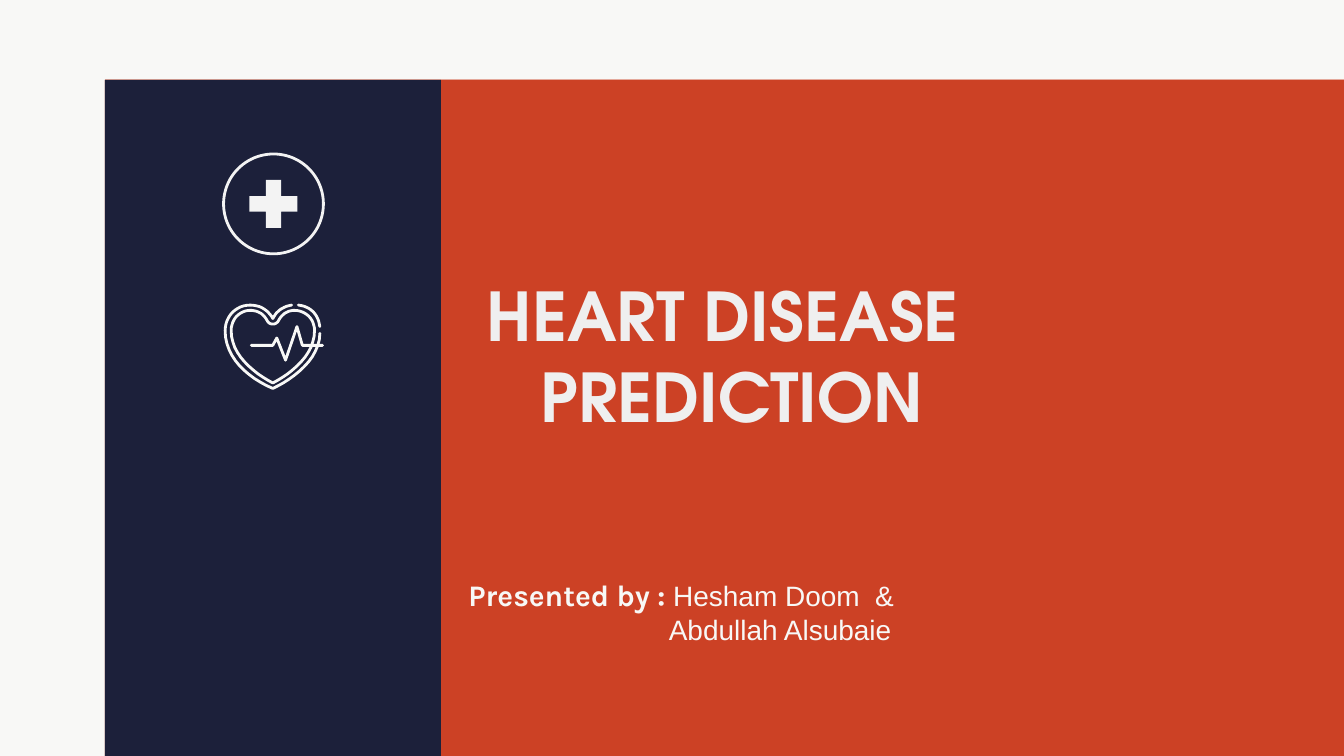
import pptx
import pptx.util
import pptx.dml.color
import pptx.enum.shapes
import pptx.enum.text
from dataclasses import dataclass

Pt = pptx.util.Pt
PRESET = pptx.enum.shapes.MSO_SHAPE
ALIGN = pptx.enum.text.PP_ALIGN
ANCHOR = pptx.enum.text.MSO_ANCHOR


@dataclass(frozen=True)
class Theme:
    red: str = "CC4125"
    navy: str = "1C203A"
    paper: str = "F8F8F6"
    icon: str = "F3F3F3"
    title: str = "EFEFEF"
    title_font: str = "TeX Gyre Adventor"
    label_font: str = "Karla"
    name_font: str = "Arial"
    title_size: float = 36
    label_size: float = 16
    name_size: float = 15
    stroke: float = 1.5


THEME = Theme()
WIDTH, HEIGHT = 720, 405
MARGIN_LEFT, MARGIN_TOP, SIDEBAR = 56.25, 42.75, 180

# Content: each paragraph is a list of (text, font, size, bold) runs
TITLE = [
    [("HEART DISEASE ", THEME.title_font, THEME.title_size, True)],
    [("PREDICTION", THEME.title_font, THEME.title_size, True)],
]
PRESENTERS = [
    [("Presented by : ", THEME.label_font, THEME.label_size, True),
     ("Hesham Doom  &", THEME.name_font, THEME.name_size, False)],
    [("Abdullah Alsubaie", THEME.name_font, THEME.name_size, False)],
]

# Blocks: left, top, width, height, colour
BLOCKS = [
    (0, 0, MARGIN_LEFT, HEIGHT, THEME.paper),
    (0, 0, WIDTH, MARGIN_TOP, THEME.paper),
    (MARGIN_LEFT, MARGIN_TOP, WIDTH - MARGIN_LEFT, HEIGHT - MARGIN_TOP, THEME.red),
    (MARGIN_LEFT, MARGIN_TOP, SIDEBAR, HEIGHT - MARGIN_TOP, THEME.navy),
]

# Heart strokes on a grid of 0.72 pt: a start, then Bezier curves (three points)
HEART_UNIT = 0.72
HEART_CURVES = [
    # outer outline
    [(217, 227), [(211, 228), (206, 231), (203, 237)],
     [(199, 230), (193, 227), (186, 227)],
     [(176, 227), (167.5, 235), (167.5, 246)],
     [(167.5, 266), (184, 281), (203, 289)],
     [(218, 282), (238, 267), (238, 248)]],
    # detached arc at the top right
    [(222, 227), [(231, 228), (237, 234), (238, 243)]],
    # inner outline
    [(203, 285), [(188, 277), (172, 264), (172, 246)],
     [(172, 237), (179, 231), (186, 231)],
     [(191, 231), (196, 233), (199, 239)],
     [(201, 242), (205, 242), (207, 239)],
     [(210, 233), (215, 231), (219, 231)],
     [(227, 231), (234, 237), (234, 246)],
     [(234, 264), (218, 277), (203, 285)]],
]
PULSE = [(187, 257), (203, 257), (206, 251.5), (212.5, 268),
         (221, 243), (225, 257), (240, 257)]


def rgb(colour):
    return pptx.dml.color.RGBColor.from_string(colour)


def style(shape, fill=None, line=None):
    shape.shadow.inherit = False
    if fill:
        shape.fill.solid()
        shape.fill.fore_color.rgb = rgb(fill)
    else:
        shape.fill.background()
    if line:
        shape.line.color.rgb = rgb(line)
        shape.line.width = Pt(THEME.stroke)
    else:
        shape.line.fill.background()
    return shape


def add_preset(slide, preset, left, top, width, height, **look):
    shape = slide.shapes.add_shape(preset, Pt(left), Pt(top), Pt(width), Pt(height))
    return style(shape, **look)


def add_text(slide, paragraphs, *, left, top, width, height, colour,
             anchor=ANCHOR.TOP, indents=()):
    frame = slide.shapes.add_textbox(Pt(left), Pt(top), Pt(width), Pt(height)).text_frame
    frame.word_wrap = True
    frame.vertical_anchor = anchor
    frame.margin_left = frame.margin_right = Pt(7.2)
    frame.margin_top = frame.margin_bottom = Pt(7.2)
    for i, runs in enumerate(paragraphs):
        paragraph = frame.paragraphs[0] if i == 0 else frame.add_paragraph()
        paragraph.alignment = ALIGN.CENTER
        if i < len(indents):
            paragraph._p.get_or_add_pPr().set("marL", str(Pt(indents[i])))
        for text, font, size, bold in runs:
            run = paragraph.add_run()
            run.text = text
            run.font.name, run.font.size, run.font.bold = font, Pt(size), bold
            run.font.color.rgb = rgb(colour)


def sample(curve, steps=12):
    points = [curve[0]]
    for b, c, d in curve[1:]:
        a = points[-1]
        for i in range(1, steps + 1):
            t = i / steps
            weights = ((1 - t) ** 3, 3 * t * (1 - t) ** 2, 3 * t * t * (1 - t), t ** 3)
            points.append(tuple(sum(w * p[axis] for w, p in zip(weights, (a, b, c, d)))
                                for axis in (0, 1)))
    return points


def add_stroke(slide, points):
    # The builder rounds to whole units, so work in tenths of the grid
    fine = [(x * 10, y * 10) for x, y in points]
    builder = slide.shapes.build_freeform(*fine[0], scale=Pt(HEART_UNIT) / 10)
    builder.add_line_segments(fine[1:], close=False)
    stroke = style(builder.convert_to_shape(), line=THEME.paper)
    outline = stroke.line._get_or_add_ln()
    outline.set("cap", "rnd")
    outline.append(outline.makeelement(pptx.oxml.ns.qn("a:round"), {}))


def main():
    deck = pptx.Presentation()
    deck.slide_width, deck.slide_height = Pt(WIDTH), Pt(HEIGHT)
    slide = deck.slides.add_slide(deck.slide_layouts[6])
    slide.background.fill.solid()
    slide.background.fill.fore_color.rgb = rgb(THEME.red)

    # Margins, main panel and sidebar
    for left, top, width, height, colour in BLOCKS:
        add_preset(slide, PRESET.RECTANGLE, left, top, width, height, fill=colour)

    # Title and presenters
    add_text(slide, TITLE, left=112.5, top=139, width=559.5, height=101.5,
             colour=THEME.title, anchor=ANCHOR.BOTTOM)
    add_text(slide, PRESENTERS, left=183.5, top=301.75, width=363, height=50,
             colour=THEME.paper, indents=(0, 106))

    # Medical cross in a ring
    add_preset(slide, PRESET.OVAL, 119.75, 82.5, 53.5, 53.5, line=THEME.icon)
    cross = add_preset(slide, PRESET.MATH_PLUS, 129, 91.75, 35, 35, fill=THEME.icon)
    cross.adjustments[0] = 0.235

    # Heart with pulse line
    for points in [sample(curve) for curve in HEART_CURVES] + [PULSE]:
        add_stroke(slide, points)

    deck.save("out.pptx")


if __name__ == "__main__":
    main()
